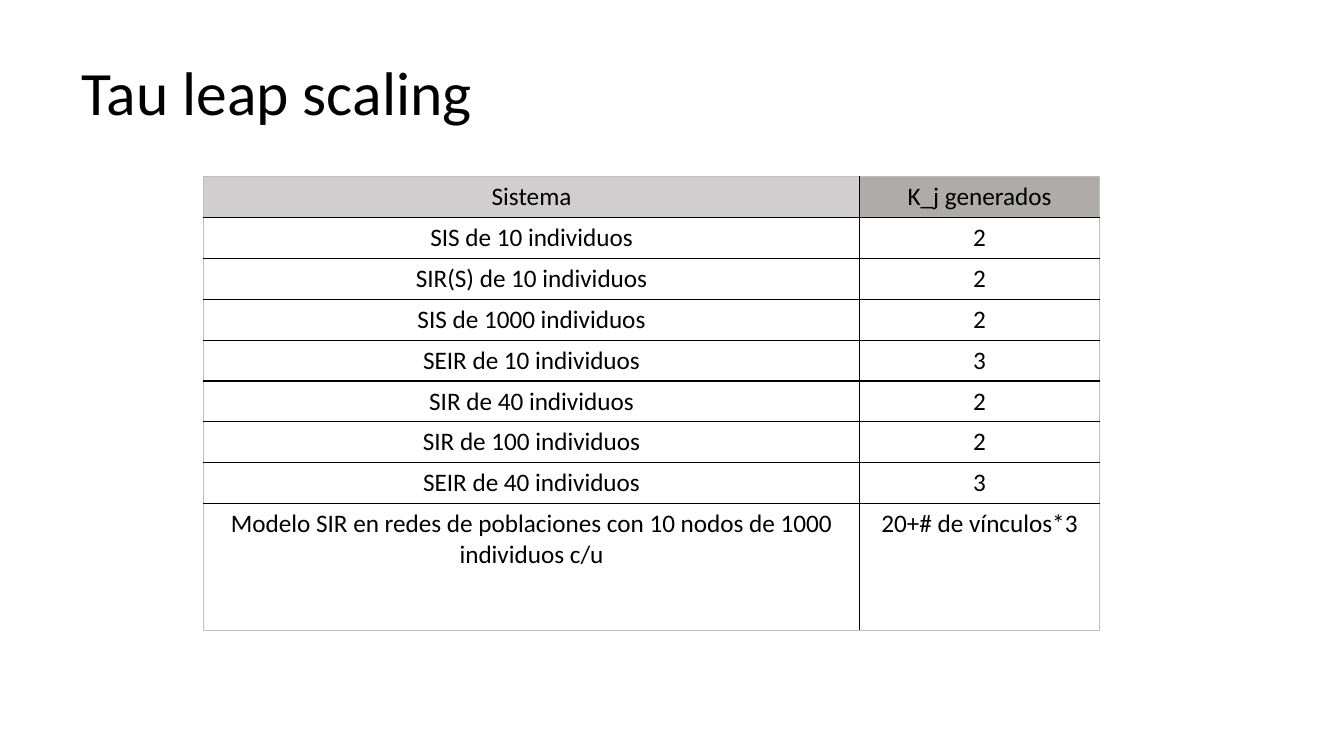
from pptx import Presentation
from pptx.dml.color import RGBColor
from pptx.enum import text as t
from pptx.oxml import parse_xml
from pptx.oxml.ns import nsdecls
from pptx.util import Cm, Pt

BLACK = RGBColor(0, 0, 0)
LIGHT = RGBColor(0xD0, 0xCE, 0xCE)
DARK = RGBColor(0xAF, 0xAB, 0xAB)
EDGE = RGBColor(0xBF, 0xBF, 0xBF)
FONT = "Calibri"

ROWS = [
    ("Sistema", "K_j generados"),
    ("SIS de 10 individuos", "2"),
    ("SIR(S) de 10 individuos", "2"),
    ("SIS de 1000 individuos", "2"),
    ("SEIR de 10 individuos", "3"),
    ("SIR de 40 individuos", "2"),
    ("SIR de 100 individuos", "2"),
    ("SEIR de 40 individuos", "3"),
    ("Modelo SIR en redes de poblaciones con 10 nodos de 1000 individuos c/u",
     "20+# de vínculos*3"),
]
ROW_H, LAST_H = 1.03, 3.2
SPLIT = 6.51 / 8.89  # share of the width taken by the first column


def style(par, size, align):
    par.alignment = align
    for run in par.runs:
        run.font.name = FONT
        run.font.size = Pt(size)
        run.font.color.rgb = BLACK


def border(cell, outer):
    """Draw the four sides; those named in outer are pale."""
    props = cell._tc.get_or_add_tcPr()
    for pos, side in enumerate("LRTB"):
        color, width = (EDGE, Pt(0.5)) if side in outer else (BLACK, Pt(1))
        line = parse_xml(
            f'<a:ln{side} {nsdecls("a")} w="{width}"><a:solidFill>'
            f'<a:srgbClr val="{color}"/></a:solidFill></a:ln{side}>')
        props.insert(pos, line)


def add_title(slide, x, y, w, h):
    title = slide.shapes.title
    title.left, title.top, title.width, title.height = map(Cm, (x, y, w, h))
    frame = title.text_frame
    frame.text = "Tau leap scaling"
    frame.vertical_anchor = t.MSO_ANCHOR.MIDDLE
    frame.word_wrap = True
    frame.paragraphs[0].line_spacing = 0.9
    style(frame.paragraphs[0], 44, t.PP_ALIGN.LEFT)


def add_grid(slide, x, y, w):
    last = len(ROWS) - 1
    high = ROW_H * last + LAST_H
    table = slide.shapes.add_table(
        len(ROWS), 2, Cm(x), Cm(y), Cm(w), Cm(high)).table
    table.first_row = table.horz_banding = False
    table.columns[0].width = Cm(w * SPLIT)
    table.columns[1].width = Cm(w * (1 - SPLIT))
    for r, words in enumerate(ROWS):
        table.rows[r].height = Cm(LAST_H if r == last else ROW_H)
        for c, word in enumerate(words):
            cell = table.cell(r, c)
            cell.text = word
            style(cell.text_frame.paragraphs[0], 18, t.PP_ALIGN.CENTER)
            # Only the header row is filled
            if r == 0:
                cell.fill.solid()
                cell.fill.fore_color.rgb = (LIGHT, DARK)[c]
            else:
                cell.fill.background()
            outer = "LR"[c] + ("T" if r == 0 else "B" if r == last else "")
            border(cell, outer)


def main():
    deck = Presentation()
    deck.slide_width, deck.slide_height = Cm(33.87), Cm(19.05)
    slide = deck.slides.add_slide(deck.slide_layouts[5])
    add_title(slide, 1.8, 0.56, 29.21, 4.24 - 0.56)
    add_grid(slide, 5.13, 4.45, 22.58)
    deck.save("out.pptx")


if __name__ == "__main__":
    main()
